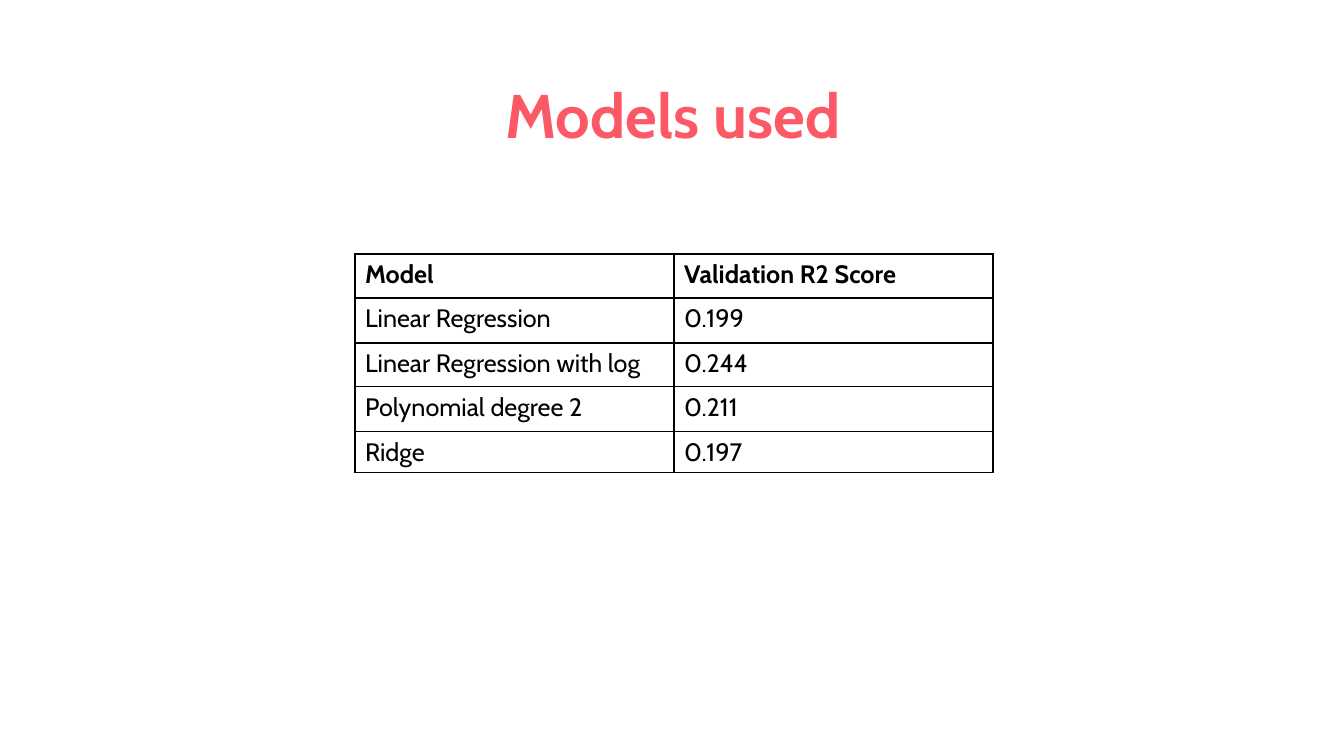
import pptx
import pptx.dml.color
import pptx.enum.text
import pptx.oxml
import pptx.oxml.ns
import pptx.util

# Content
HEADING = "Models used"
SCORES = [
    ("Model", "Validation R2 Score"),
    ("Linear Regression", "0.199"),
    ("Linear Regression with log", "0.244"),
    ("Polynomial degree 2", "0.211"),
    ("Ridge", "0.197"),
]

# Layout in px
PX_PER_INCH = 100.8
SLIDE_SIZE = (1344, 756)
HEADING_BOX = (55, 46, 1236, 146)
TABLE_LEFT, TABLE_TOP = 355, 254
COLUMN_WIDTH = 319
ROW_HEIGHTS = (44, 45, 44, 45, 41)

FONT = "Cabin"
CORAL, BLACK = "FC5967", "000000"


def px(length):
    return pptx.util.Inches(length / PX_PER_INCH)


def style(paragraph, size, color, bold):
    font = paragraph.font
    font.name, font.size, font.bold = FONT, pptx.util.Pt(size), bold
    font.color.rgb = pptx.dml.color.RGBColor.from_string(color)


def add_borders(cell, color):
    properties = cell._tc.get_or_add_tcPr()
    for position, side in enumerate(("lnL", "lnR", "lnT", "lnB")):
        properties.insert(position, pptx.oxml.parse_xml(
            f'<a:{side} {pptx.oxml.ns.nsdecls("a")} w="{pptx.util.Pt(1)}">'
            f'<a:solidFill><a:srgbClr val="{color}"/></a:solidFill></a:{side}>'))


def main():
    deck = pptx.Presentation()
    deck.slide_width, deck.slide_height = map(px, SLIDE_SIZE)
    slide = deck.slides.add_slide(deck.slide_layouts[5])

    # Heading
    heading = slide.shapes.title
    heading.left, heading.top, heading.width, heading.height = map(px, HEADING_BOX)
    heading.text_frame.text = HEADING
    heading.text_frame.vertical_anchor = pptx.enum.text.MSO_ANCHOR.MIDDLE
    heading_line = heading.text_frame.paragraphs[0]
    heading_line.alignment = pptx.enum.text.PP_ALIGN.CENTER
    heading_line.line_spacing = 0.9
    style(heading_line, 44, CORAL, True)

    # Score table
    column_count = len(SCORES[0])
    scores = slide.shapes.add_table(
        len(SCORES), column_count, px(TABLE_LEFT), px(TABLE_TOP),
        px(COLUMN_WIDTH * column_count), px(sum(ROW_HEIGHTS))).table
    scores.first_row = scores.horz_banding = False
    for column in scores.columns:
        column.width = px(COLUMN_WIDTH)
    for row_index, (values, height) in enumerate(zip(SCORES, ROW_HEIGHTS)):
        scores.rows[row_index].height = px(height)
        for column_index, value in enumerate(values):
            cell = scores.cell(row_index, column_index)
            cell.text = value
            cell.fill.background()
            style(cell.text_frame.paragraphs[0], 18, BLACK, row_index == 0)
            add_borders(cell, BLACK)

    deck.save("out.pptx")


if __name__ == "__main__":
    main()
